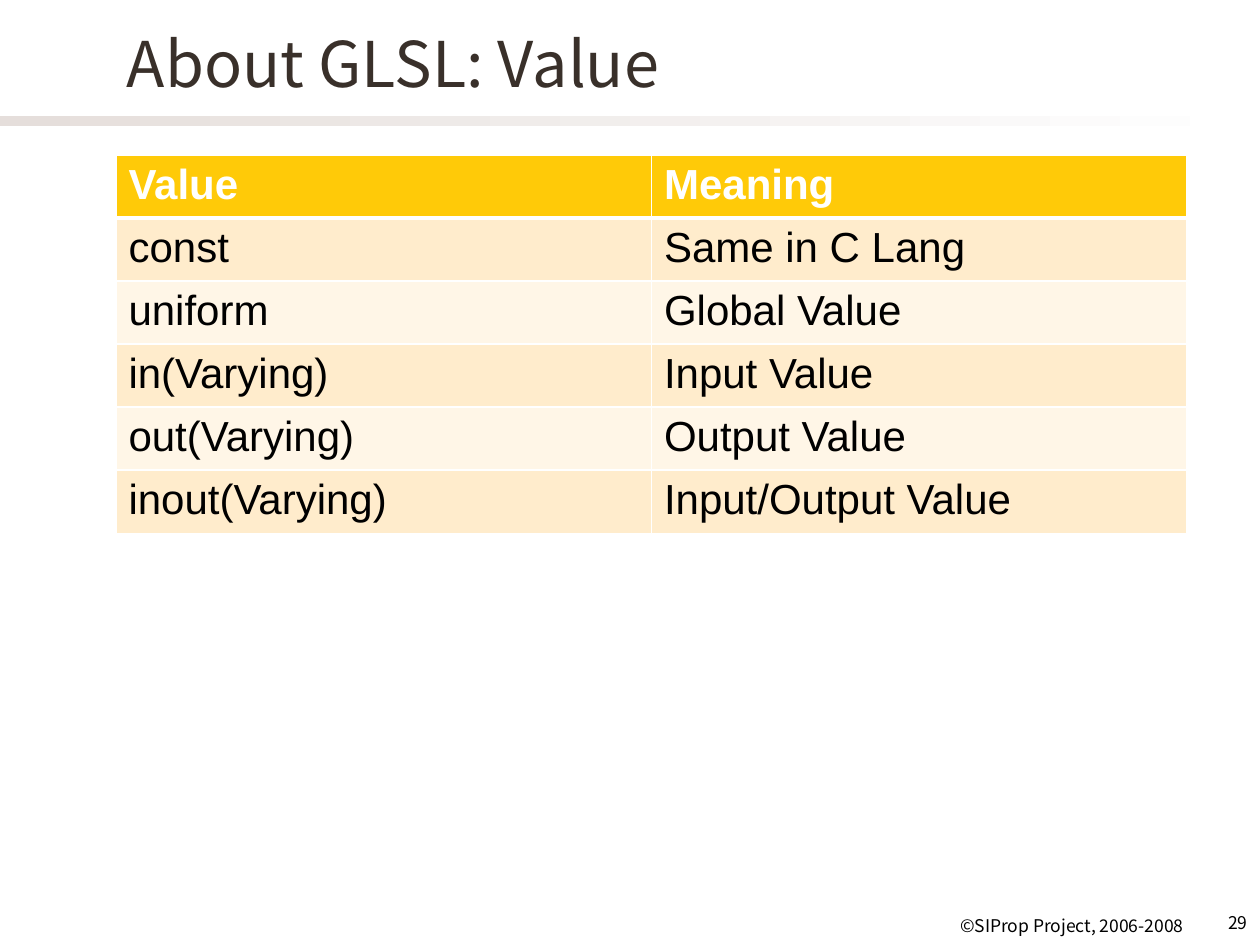
from lxml import etree
from pptx import Presentation
from pptx.dml.color import RGBColor
from pptx.enum.shapes import MSO_SHAPE
from pptx.enum.text import MSO_ANCHOR, PP_ALIGN
from pptx.oxml.ns import qn
from pptx.util import Inches, Pt

RECTANGLE = MSO_SHAPE.RECTANGLE
TOP, MIDDLE = MSO_ANCHOR.TOP, MSO_ANCHOR.MIDDLE
LEFT, RIGHT = PP_ALIGN.LEFT, PP_ALIGN.RIGHT

WIDTH, HEIGHT = 10, 7.5
COLUMNS, ROWS = 100, 75
HEADER_FILL = "FFCA08"
BAND_FILLS = ("FFECCC", "FFF6E7")
VALUES = [
    ("Value", "Meaning"),
    ("const", "Same in C Lang"),
    ("uniform", "Global Value"),
    ("in(Varying)", "Input Value"),
    ("out(Varying)", "Output Value"),
    ("inout(Varying)", "Input/Output Value"),
]


def color(value):
    return RGBColor.from_string(value)


class SlideBuilder:
    heading_font = "Noto Sans CJK JP"
    table_font = "Arial"
    title_color = "39302A"
    text_color = "000000"
    light = "FFFFFF"

    def __init__(self, page):
        self.page = page

    def place(self, column, row, columns, rows):
        across, down = WIDTH / COLUMNS, HEIGHT / ROWS
        return (Inches(column * across), Inches(row * down),
                Inches(columns * across), Inches(rows * down))

    def fill_frame(self, frame, text, ink, align=LEFT, **formats):
        para = frame.paragraphs[0]
        para.alignment = align
        span = para.add_run()
        span.text = text
        span.font.color.rgb = color(ink)
        for name, value in formats.items():
            setattr(span.font, name, value)

    def text(self, area, text, size, ink=text_color, align=LEFT, anchor=TOP):
        frame = self.page.shapes.add_textbox(*self.place(*area)).text_frame
        frame.word_wrap = True
        frame.vertical_anchor = anchor
        self.fill_frame(frame, text, ink, align, size=Pt(size), name=self.heading_font)

    def gradient_bar(self, area, start, end):
        bar = self.page.shapes.add_shape(RECTANGLE, *self.place(*area))
        bar.shadow.inherit = False
        bar.line.fill.background()
        bar.fill.gradient()
        bar.fill.gradient_angle = 0
        for stop, value in zip(bar.fill.gradient_stops, (start, end)):
            stop.color.rgb = color(value)

    def border(self, cell, side, width):
        properties = cell._tc.get_or_add_tcPr()
        line = etree.SubElement(properties, qn(f"a:ln{side}"), w=str(Pt(width)))
        fill = etree.SubElement(line, qn("a:solidFill"))
        etree.SubElement(fill, qn("a:srgbClr"), val=self.light)

    def table(self, area, records, size):
        place = self.place(*area)
        table = self.page.shapes.add_table(len(records), len(records[0]), *place).table
        for row, record in enumerate(records):
            header = row == 0
            for column, text in enumerate(record):
                cell = table.cell(row, column)
                for side in "LRTB":
                    thick = (header and side == "B") or (row == 1 and side == "T")
                    self.border(cell, side, 3 if thick else 1)
                cell.fill.solid()
                cell.fill.fore_color.rgb = color(
                    HEADER_FILL if header else BAND_FILLS[(row - 1) % 2])
                self.fill_frame(cell.text_frame, text,
                                self.light if header else self.text_color,
                                size=Pt(size), name=self.table_font, bold=header)


def main():
    deck = Presentation()
    deck.slide_width, deck.slide_height = Inches(WIDTH), Inches(HEIGHT)
    builder = SlideBuilder(deck.slides.add_slide(deck.slide_layouts[6]))
    builder.gradient_bar((0, 9.2, COLUMNS, 0.8), "E5DEDB", "FFFFFF")
    builder.text((50.8, 72.1, 44.1, 3.2), "©SIProp Project, 2006-2008", 10, align=RIGHT)
    builder.text((95.2, 71.9, 4.8, 3.1), "29", 10, align=RIGHT)
    builder.text((9.1, 0, 85, 9.9), "About GLSL: Value", 36,
                 ink=builder.title_color, anchor=MIDDLE)
    builder.table((9.2, 12.3, 85, 24.3), VALUES, 24)
    deck.save("out.pptx")


if __name__ == "__main__":
    main()
